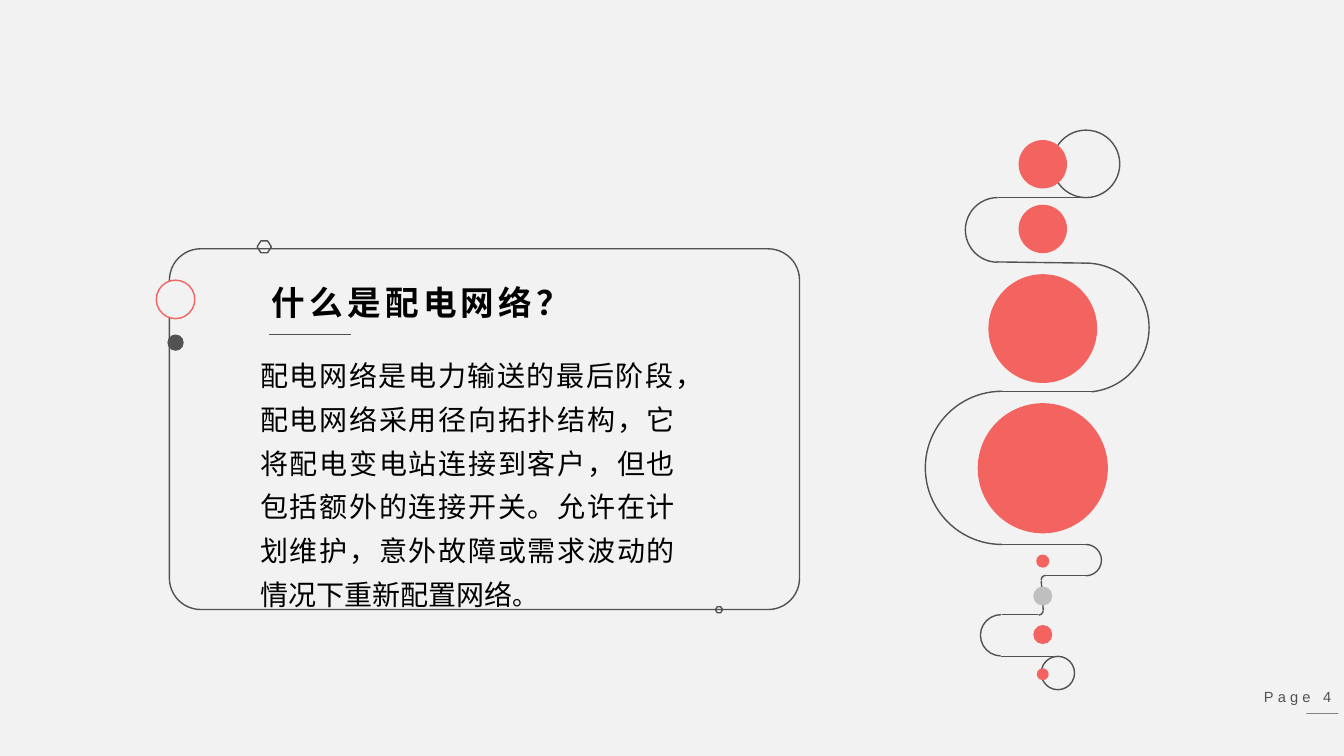
from lxml.etree import SubElement
from pptx import Presentation
from pptx.dml.color import RGBColor
from pptx.enum.shapes import MSO_CONNECTOR as Link, MSO_SHAPE as Preset
from pptx.enum.text import MSO_ANCHOR as Anchor, MSO_AUTO_SIZE as AutoSize, PP_ALIGN as Align
from pptx.oxml.ns import qn
from pptx.util import Cm, Pt

COLORS = {"paper": "F2F2F2", "ink": "525252", "coral": "F36460", "silver": "BFBFBF", "black": "000000"}
LATIN, HAN = "Arial", "Noto Sans CJK SC"

HEADING = [("什么是配电网络？", 24)]
EXPLANATION = [
    ("配电网络是电力输送的最后阶段，配电网络采用径向拓扑结构，它将配电变电站连接到客户，"
     "但也包括额外的连接开关。允许在计划维护，意外故障或需求波动的情况下重新配置网络", 20),
    ("。", 18),
]
PAGE = [("Page 4", 10.5)]

HEADING_BOX = (6.6, 6.98, 9.17, 1.27)
EXPLANATION_BOX = (6.3, 8.66, 10.97, 6.83)
PAGE_BOX = (31.01, 17.04, 2.79, 1.02)

FRAME = (4.27, 6.27, 15.88, 9.09)
FRAME_KNOBS = [
    (3.94, 7.06, 0.97, "paper", "coral"),
    (4.22, 8.43, 0.41, "ink", None),
]
FRAME_NUTS = [(6.48, 6.07, 0.36, 0.3), (18.03, 15.29, 0.18, 0.15)]

LOOPS = [(26.52, 3.28, 1.7), (26.24, 16.54, 0.84)]
BENDS = [
    (24.33, 4.98, 1.63, 1.63, 91.15, 270),
    (25.76, 6.63, 3.2, 3.25, 270, 84.78),
    (23.32, 9.86, 3.86, 3.86, 90, 270.28),
    (26.97, 13.72, 0.79, 0.79, 270, 90),
    (26.24, 14.5, 0.23, 0.23, 180, 270),
    (26.06, 15.27, 0.23, 0.23, 0, 90),
    (24.71, 15.49, 1.04, 1.04, 91.34, 270),
]
RAILS = [
    (27.38, 4.98, 25.15, 4.98),
    (25.12, 6.6, 27.36, 6.63),
    (25.25, 9.86, 27.51, 9.86),
    (25.25, 13.72, 27.38, 13.72),
    (26.37, 14.5, 27.38, 14.5),
    (26.24, 14.63, 26.29, 15.37),
    (25.25, 15.49, 26.16, 15.49),
    (25.22, 16.54, 26.7, 16.54),
]
BEAD_AXIS = 26.28
BEADS = [
    (4.14, 1.22, "coral"),
    (5.77, 1.22, "coral"),
    (8.28, 2.74, "coral"),
    (11.8, 3.28, "coral"),
    (14.14, 0.33, "coral"),
    (15.02, 0.48, "silver"),
    (15.99, 0.48, "coral"),
    (16.99, 0.3, "coral"),
]
HEADING_RULE = (6.78, 8.43, 8.84, 8.43)
PAGE_RULE = (32.92, 17.98, 33.73, 17.98)


def color(key):
    return RGBColor.from_string(COLORS[key])


def set_all(target, values):
    for name, value in values.items():
        setattr(target, name, value)


def outline(line, key, weight=1):
    line.color.rgb = color(key)
    line.width = Pt(weight)


def add_figure(preset, box, fill=None, stroke="ink", adjust=()):
    figure = slide.shapes.add_shape(preset, *map(Cm, box))
    figure.shadow.inherit = False
    for index, value in enumerate(adjust):
        figure.adjustments[index] = value
    if fill:
        figure.fill.solid()
        figure.fill.fore_color.rgb = color(fill)
    else:
        figure.fill.background()
    if stroke:
        outline(figure.line, stroke)
    else:
        figure.line.fill.background()


def add_rule(ends, key="ink", weight=1):
    rule = slide.shapes.add_connector(Link.STRAIGHT, *map(Cm, ends))
    outline(rule.line, key, weight)
    SubElement(rule._element.spPr, qn("a:effectLst"))
    return rule


def write(holder, box, runs, key, frame_format, paragraph_format, bold=False, spacing=0, latin=LATIN):
    set_all(holder, dict(zip(("left", "top", "width", "height"), map(Cm, box))))
    set_all(holder.text_frame, {"word_wrap": True, "auto_size": AutoSize.NONE, **frame_format})
    paragraph = holder.text_frame.paragraphs[0]
    set_all(paragraph, {"space_before": Pt(0), **paragraph_format})
    for words, size in runs:
        run = paragraph.add_run()
        run.text = words
        set_all(run.font, {"size": Pt(size), "bold": bold, "name": latin})
        run.font.color.rgb = color(key)
        SubElement(run.font._element, qn("a:ea"), typeface=HAN)
        run.font._element.set("spc", str(spacing * 100))
    return paragraph


deck = Presentation()
set_all(deck, {"slide_width": Cm(33.87), "slide_height": Cm(19.05)})
slide = deck.slides.add_slide(deck.slide_layouts[1])
slide.background.fill.solid()
slide.background.fill.fore_color.rgb = color("paper")

add_figure(Preset.ROUNDED_RECTANGLE, FRAME, adjust=[0.087])
for left, top, size in LOOPS:
    add_figure(Preset.OVAL, (left, top, size, size))
for *box, start, end in BENDS:
    add_figure(Preset.ARC, box, adjust=[start * 0.6, end * 0.6])
for ends in RAILS:
    add_rule(ends)
for middle, size, fill in BEADS:
    add_figure(Preset.OVAL, (BEAD_AXIS - size / 2, middle - size / 2, size, size), fill, None)

write(slide.shapes.title, HEADING_BOX, HEADING, "black",
      {"vertical_anchor": Anchor.TOP}, {"alignment": Align.LEFT}, bold=True, spacing=3)
add_rule(HEADING_RULE, weight=0.5)
explanation = write(slide.placeholders[1], EXPLANATION_BOX, EXPLANATION, "black",
                    {"vertical_anchor": Anchor.TOP},
                    {"alignment": Align.JUSTIFY, "line_spacing": 1.3}, latin=HAN)
bullet_format = explanation._p.get_or_add_pPr()
for name in ("marL", "indent"):
    bullet_format.set(name, "0")
SubElement(bullet_format, qn("a:buNone"))

page_rule = add_rule(PAGE_RULE, "black", 0.5)
for tint in page_rule._element.spPr.iter(qn("a:srgbClr")):
    SubElement(tint, qn("a:alpha"), val="45000")
write(slide.shapes.add_textbox(0, 0, 0, 0), PAGE_BOX, PAGE, "ink",
      {"vertical_anchor": Anchor.MIDDLE}, {"alignment": Align.RIGHT}, spacing=3)

for left, top, size, fill, stroke in FRAME_KNOBS:
    add_figure(Preset.OVAL, (left, top, size, size), fill, stroke)
for box in FRAME_NUTS:
    add_figure(Preset.HEXAGON, box, adjust=[0.32, 1.155])

deck.save("out.pptx")
